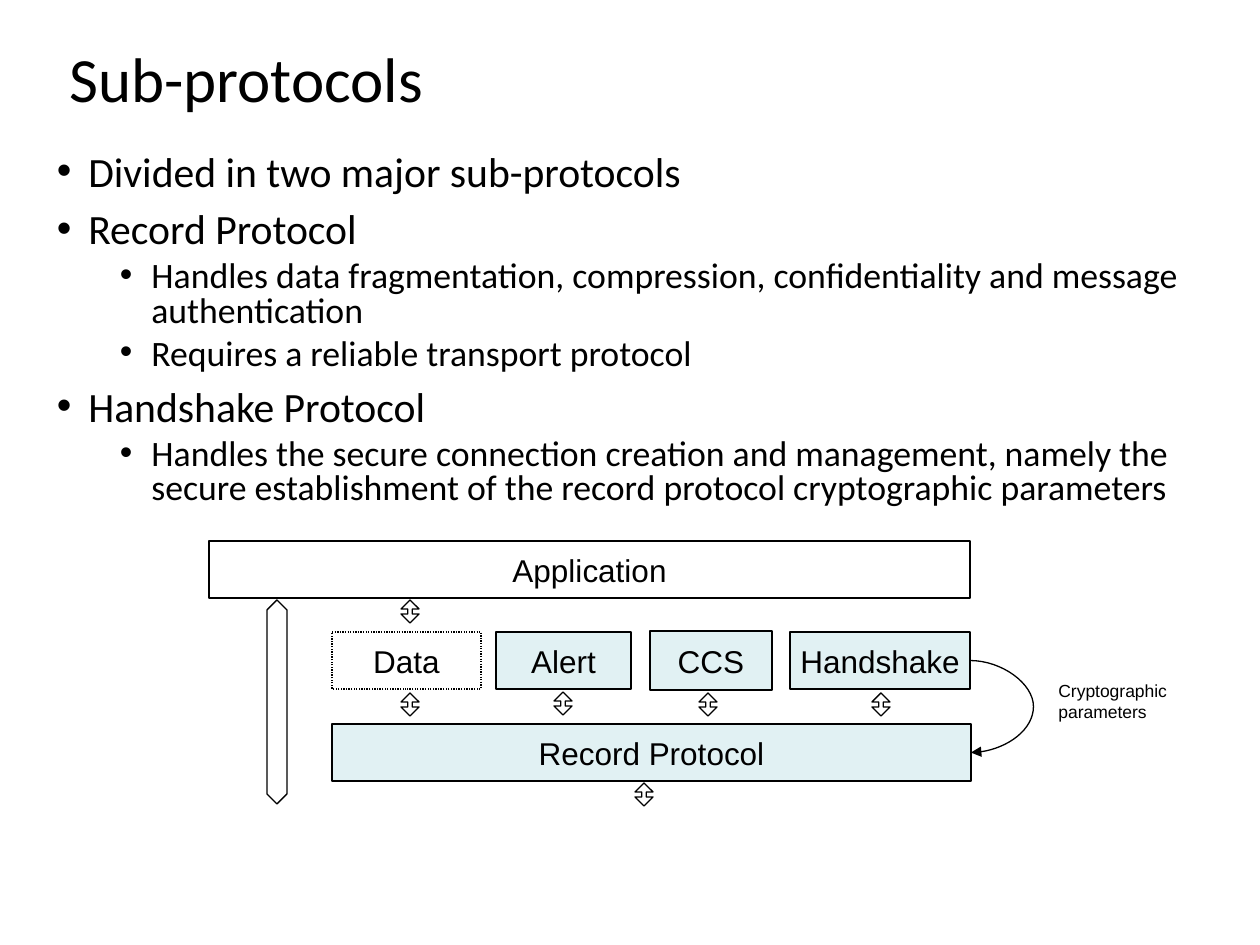
from lxml.etree import SubElement
from pptx import Presentation
from pptx.dml.color import RGBColor
from pptx.enum.dml import MSO_LINE
from pptx.enum.shapes import MSO_CONNECTOR, MSO_SHAPE
from pptx.enum.text import MSO_ANCHOR, PP_ALIGN
from pptx.oxml.ns import qn
from pptx.util import Pt

BLACK = "000000"
PALE = "E1F1F3"
BULLETS = [
    (0, "Divided in two major sub-protocols"),
    (0, "Record Protocol"),
    (1, "Handles data fragmentation, compression, confidentiality and message authentication"),
    (1, "Requires a reliable transport protocol"),
    (0, "Handshake Protocol"),
    (1, "Handles the secure connection creation and management, namely the "
        "secure establishment of the record protocol cryptographic parameters"),
]
LEVELS = [(32, 10, 23.8), (95, 5, 20.4)]
LAYERS = [
    ("Application", 0, 0, 761, 57, None),
    ("Data", 123, 91, 149, 57, None),
    ("Alert", 287, 91, 135, 57, PALE),
    ("CCS", 441, 90, 122, 59, PALE),
    ("Handshake", 581, 91, 180, 57, PALE),
    ("Record Protocol", 123, 183, 639, 57, PALE),
]
SMALL_ARROWS = [(192, 59), (192, 152), (345, 151), (490, 152), (663, 152), (426, 242)]


def px(length):
    return round(length * 914400 / 126)


def color(hex_value):
    return RGBColor.from_string(hex_value)


def format_paragraph(paragraph, font, size):
    for run in paragraph.runs:
        run.font.name = font
        run.font.size = Pt(size)
        run.font.color.rgb = color(BLACK)


def add_text(slide, box, lines, font, size, wrap=True):
    frame = slide.shapes.add_textbox(*map(px, box)).text_frame
    frame.word_wrap = wrap
    frame.text = "\n".join(lines)
    for paragraph in frame.paragraphs:
        format_paragraph(paragraph, font, size)
    return frame


def add_outlined(slide, preset, box, fill=None):
    shape = slide.shapes.add_shape(preset, *map(px, box))
    shape.shadow.inherit = False
    if fill:
        shape.fill.solid()
        shape.fill.fore_color.rgb = color(fill)
    else:
        shape.fill.background()
    shape.line.color.rgb = color(BLACK)
    shape.line.width = Pt(0.75)
    return shape


def add_title(slide, box):
    heading = add_text(slide, box, ["Sub-protocols"], "Calibri", 36)
    heading.vertical_anchor = MSO_ANCHOR.MIDDLE
    heading.paragraphs[0].line_spacing = 0.9


def add_bullets(slide, box):
    outline = add_text(slide, box, [text for _, text in BULLETS], "Calibri", 23.8)
    for paragraph, (level, _) in zip(outline.paragraphs, BULLETS):
        indent, space, size = LEVELS[level]
        paragraph.level = level
        paragraph.line_spacing = 0.8
        paragraph.space_before = Pt(space)
        format_paragraph(paragraph, "Calibri", size)
        properties = paragraph._p.get_or_add_pPr()
        properties.set("marL", str(px(indent)))
        properties.set("indent", str(-px(31.5)))
        SubElement(properties, qn("a:buFont"), typeface="Arial")
        SubElement(properties, qn("a:buChar"), char="•")


def add_layer(slide, box, label, fill):
    layer = add_outlined(slide, MSO_SHAPE.RECTANGLE, box, fill)
    frame = layer.text_frame
    frame.word_wrap = False
    frame.vertical_anchor = MSO_ANCHOR.MIDDLE
    frame.text = label
    frame.paragraphs[0].alignment = PP_ALIGN.CENTER
    format_paragraph(frame.paragraphs[0], "Arial", 18)
    return layer


def add_exchange(slide, box, head):
    exchange = add_outlined(slide, MSO_SHAPE.UP_DOWN_ARROW, box)
    exchange.adjustments[0] = 0.5
    exchange.adjustments[1] = head


def add_parameter_flow(slide, source, target):
    flow = slide.shapes.add_connector(MSO_CONNECTOR.CURVE, 0, 0, 1, 1)
    flow.begin_connect(source, 3)
    flow.end_connect(target, 3)
    flow.line.color.rgb = color(BLACK)
    flow.line.width = Pt(0.75)
    properties = flow._element.spPr
    guides = properties.find(qn("a:prstGeom")).get_or_add_avLst()
    bulge = round(px(64) / flow.width * 100000)
    SubElement(guides, qn("a:gd"), name="adj1", fmla=f"val {bulge}")
    SubElement(flow.line._get_or_add_ln(), qn("a:tailEnd"), type="triangle")
    SubElement(properties, qn("a:effectLst"))


def add_protocol_stack(slide, left, top):
    layers = {}
    for label, x, y, width, height, fill in LAYERS:
        layers[label] = add_layer(slide, (left + x, top + y, width, height), label, fill)
    layers["Data"].line.dash_style = MSO_LINE.ROUND_DOT
    for x, y in SMALL_ARROWS:
        add_exchange(slide, (left + x, top + y, 18, 23), 0.255)
    add_exchange(slide, (left + 58, top + 59, 20, 204), 1.98)
    add_parameter_flow(slide, layers["Handshake"], layers["Record Protocol"])
    add_text(slide, (left + 837, top + 133, 134, 54),
             ["Cryptographic", "parameters"], "Arial", 10, wrap=False)


presentation = Presentation()
presentation.slide_width = px(1260)
presentation.slide_height = px(945)
slide = presentation.slides.add_slide(presentation.slide_layouts[6])
add_title(slide, (57, 37, 1147, 91))
add_bullets(slide, (44, 149, 1153, 365))
add_protocol_stack(slide, 209, 541)
presentation.save("out.pptx")
